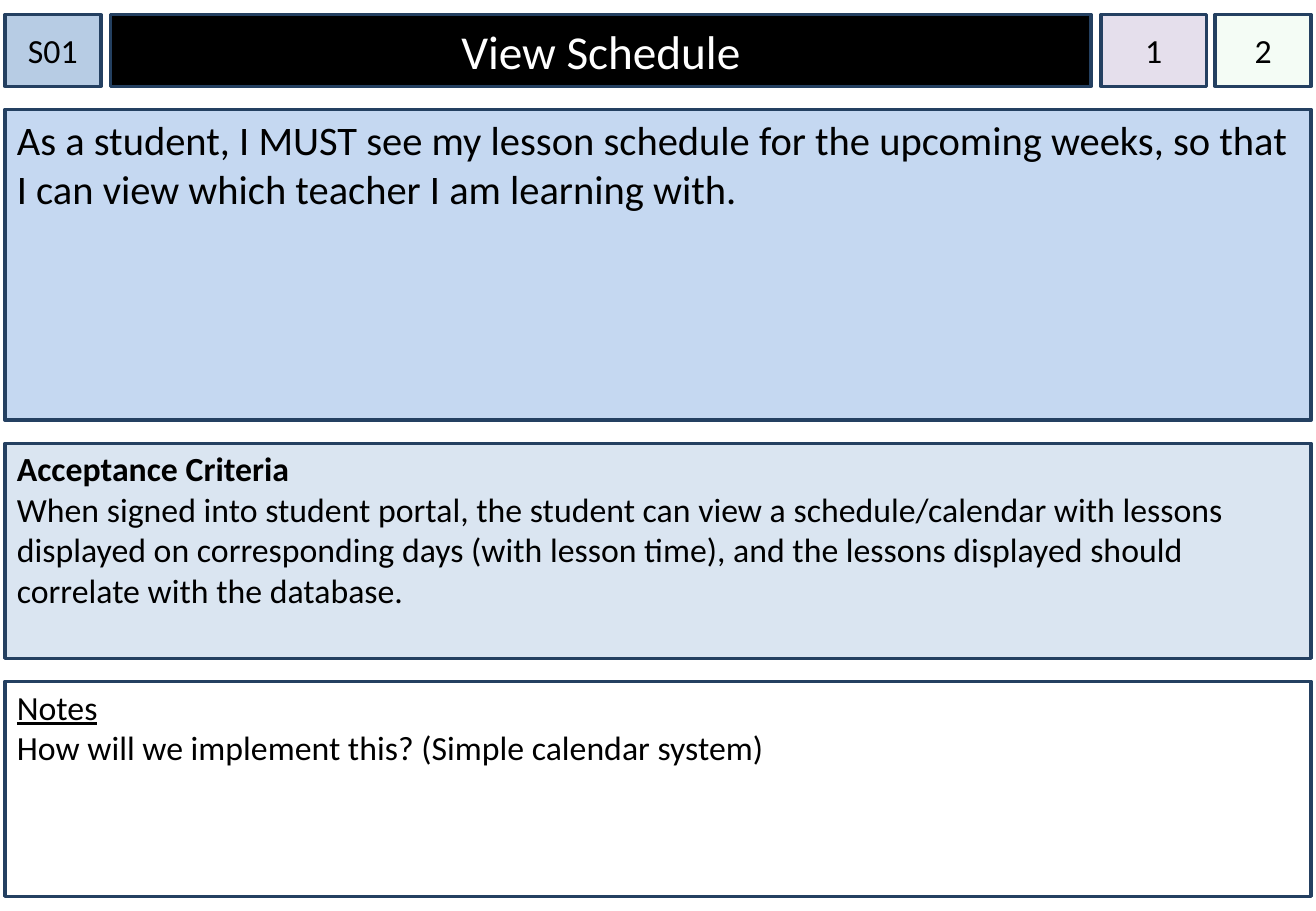
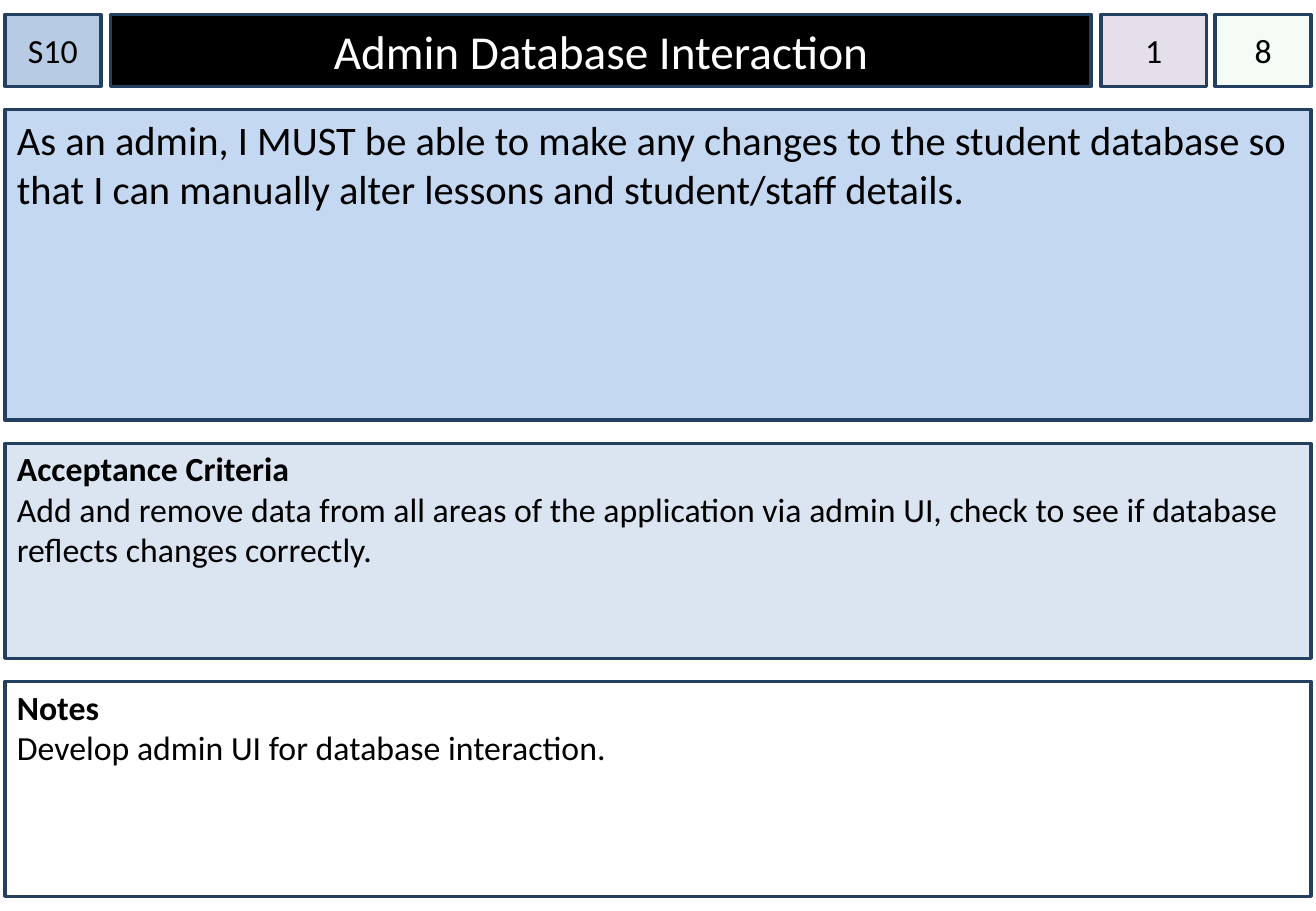
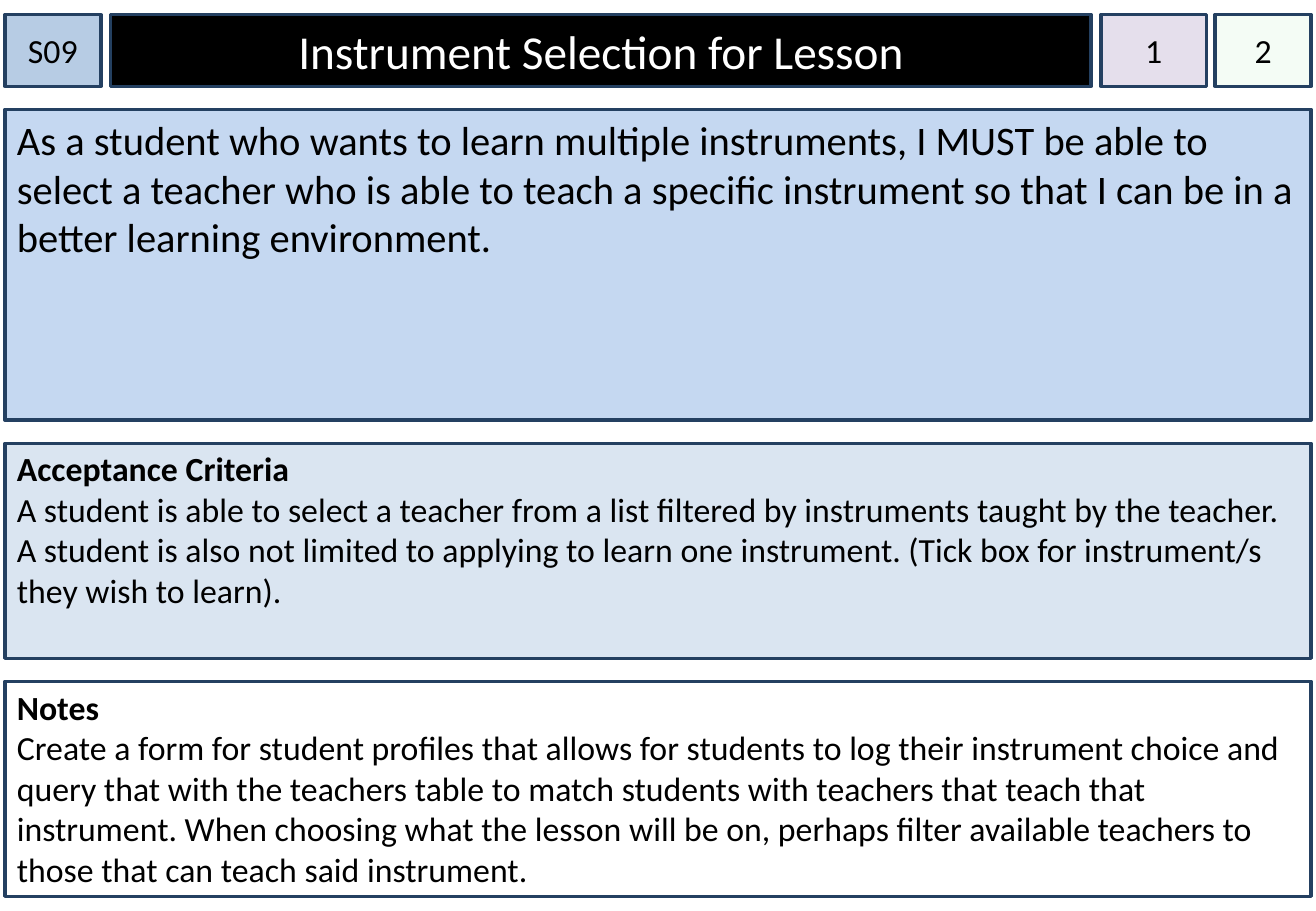
from dataclasses import dataclass

from lxml import etree
from pptx import Presentation
from pptx import util as u
from pptx.dml.color import RGBColor
from pptx.enum import shapes, text
from pptx.oxml.ns import qn


@dataclass(frozen=True)
class Theme:
    font: str = "Calibri"
    ink: str = "000000"
    outline: str = "244061"
    title_fill: str = "000000"
    title_ink: str = "FFFFFF"
    code_fill: str = "B7CCE4"
    priority_fill: str = "E5DFEC"
    estimate_fill: str = "CCF0CD"
    estimate_opacity: int = 20
    story_fill: str = "C5D8F1"
    criteria_fill: str = "DAE5F1"
    remarks_fill: str = "FFFFFF"
    title_size: int = 28
    story_size: int = 24
    body_size: int = 20
    line_width: int = 2


@dataclass(frozen=True)
class Story:
    code: str
    title: str
    priority: str
    estimate: str
    story: str
    criteria: str
    remarks: str
    remarks_underlined: bool = False


LEFT, PANEL_WIDTH = 0.04, 10.75
HEADER_TOP, HEADER_HEIGHT = 0.12, 0.59
PANELS_TOP, PANEL_GAP = 0.9, 0.19
STORY_HEIGHT, DETAIL_HEIGHT = 2.56, 1.77

STORIES = [
    Story(
        "S01", "View Schedule", "1", "2",
        "As a student, I MUST see my lesson schedule for the upcoming weeks, "
        "so that I can view which teacher I am learning with.",
        "When signed into student portal, the student can view a schedule/calendar "
        "with lessons displayed on corresponding days (with lesson time), and the "
        "lessons displayed should correlate with the database.",
        "How will we implement this? (Simple calendar system)",
        remarks_underlined=True,
    ),
    Story(
        "S10", "Admin Database Interaction", "1", "8",
        "As an admin, I MUST be able to make any changes to the student database "
        "so that I can manually alter lessons and student/staff details.",
        "Add and remove data from all areas of the application via admin UI, "
        "check to see if database reflects changes correctly.",
        "Develop admin UI for database interaction.",
    ),
    Story(
        "S09", "Instrument Selection for Lesson", "1", "2",
        "As a student who wants to learn multiple instruments, I MUST be able to "
        "select a teacher who is able to teach a specific instrument so that I can "
        "be in a better learning environment.",
        "A student is able to select a teacher from a list filtered by instruments "
        "taught by the teacher. A student is also not limited to applying to learn "
        "one instrument. (Tick box for instrument/s they wish to learn).",
        "Create a form for student profiles that allows for students to log their "
        "instrument choice and query that with the teachers table to match students "
        "with teachers that teach that instrument. When choosing what the lesson "
        "will be on, perhaps filter available teachers to those that can teach said "
        "instrument.",
    ),
]


class CardDeck:
    def __init__(self, theme):
        self.theme = theme
        self.presentation = Presentation()
        self.presentation.slide_width = u.Inches(10.83)
        self.presentation.slide_height = u.Inches(7.5)
        self.slide = None

    def new_slide(self):
        layout = self.presentation.slide_layouts.get_by_name("Title Only")
        self.slide = self.presentation.slides.add_slide(layout)

    def style_box(self, shape, fill, side_inset=0.1, top_inset=0.05,
                  anchor=text.MSO_ANCHOR.MIDDLE):
        shape.fill.solid()
        shape.fill.fore_color.rgb = RGBColor.from_string(fill)
        shape.line.color.rgb = RGBColor.from_string(self.theme.outline)
        shape.line.width = u.Pt(self.theme.line_width)
        frame = shape.text_frame
        frame.word_wrap = True
        frame.auto_size = text.MSO_AUTO_SIZE.NONE
        frame.vertical_anchor = anchor
        frame.margin_left = frame.margin_right = u.Inches(side_inset)
        frame.margin_top = u.Inches(top_inset)
        frame.margin_bottom = u.Inches(0.05)

    def style_paragraph(self, paragraph, size, color, alignment):
        paragraph.alignment = alignment
        paragraph.font.name = self.theme.font
        paragraph.font.size = u.Pt(size)
        paragraph.font.color.rgb = RGBColor.from_string(color)

    def rectangle(self, left, top, width, height):
        shape = self.slide.shapes.add_shape(
            shapes.MSO_SHAPE.RECTANGLE,
            u.Inches(left), u.Inches(top), u.Inches(width), u.Inches(height))
        shape.shadow.inherit = False
        return shape

    def title(self, words, left, width):
        shape = self.slide.shapes.title
        shape.left, shape.top = u.Inches(left), u.Inches(HEADER_TOP)
        shape.width, shape.height = u.Inches(width), u.Inches(HEADER_HEIGHT)
        self.style_box(shape, self.theme.title_fill)
        shape.text_frame.text = words
        self.style_paragraph(shape.text_frame.paragraphs[0], self.theme.title_size,
                             self.theme.title_ink, text.PP_ALIGN.CENTER)

    def tag(self, words, left, width, fill, opacity=100):
        shape = self.rectangle(left, HEADER_TOP, width, HEADER_HEIGHT)
        self.style_box(shape, fill, side_inset=0)
        if opacity < 100:
            color = shape.element.spPr.find(qn("a:solidFill")).find(qn("a:srgbClr"))
            etree.SubElement(color, qn("a:alpha")).set("val", str(opacity * 1000))
        shape.text_frame.text = words
        self.style_paragraph(shape.text_frame.paragraphs[0], self.theme.body_size,
                             self.theme.ink, text.PP_ALIGN.CENTER)

    def panel(self, lines, top, height, fill, size, top_inset=0.04):
        shape = self.rectangle(LEFT, top, PANEL_WIDTH, height)
        self.style_box(shape, fill, top_inset=top_inset, anchor=text.MSO_ANCHOR.TOP)
        shape.text_frame.text = "\n".join(lines)
        for paragraph in shape.text_frame.paragraphs:
            self.style_paragraph(paragraph, size, self.theme.ink, text.PP_ALIGN.LEFT)
        return shape

    def detail_panel(self, heading, body, top, fill, underlined=False):
        shape = self.panel([heading, body], top, DETAIL_HEIGHT, fill,
                           self.theme.body_size)
        font = shape.text_frame.paragraphs[0].font
        font.bold = not underlined
        font.underline = underlined

    def card(self, story):
        theme = self.theme
        criteria_top = PANELS_TOP + STORY_HEIGHT + PANEL_GAP
        remarks_top = criteria_top + DETAIL_HEIGHT + PANEL_GAP
        self.new_slide()
        self.tag(story.code, LEFT, 0.79, theme.code_fill)
        self.title(story.title, 0.91, 8.07)
        self.tag(story.priority, 9.06, 0.87, theme.priority_fill)
        self.tag(story.estimate, 10, 0.79, theme.estimate_fill,
                 theme.estimate_opacity)
        self.panel([story.story], PANELS_TOP, STORY_HEIGHT, theme.story_fill,
                   theme.story_size, top_inset=0.05)
        self.detail_panel("Acceptance Criteria", story.criteria, criteria_top,
                          theme.criteria_fill)
        self.detail_panel("Notes", story.remarks, remarks_top, theme.remarks_fill,
                          story.remarks_underlined)


def main():
    deck = CardDeck(Theme())
    for story in STORIES:
        deck.card(story)
    deck.presentation.save("out.pptx")


if __name__ == "__main__":
    main()
